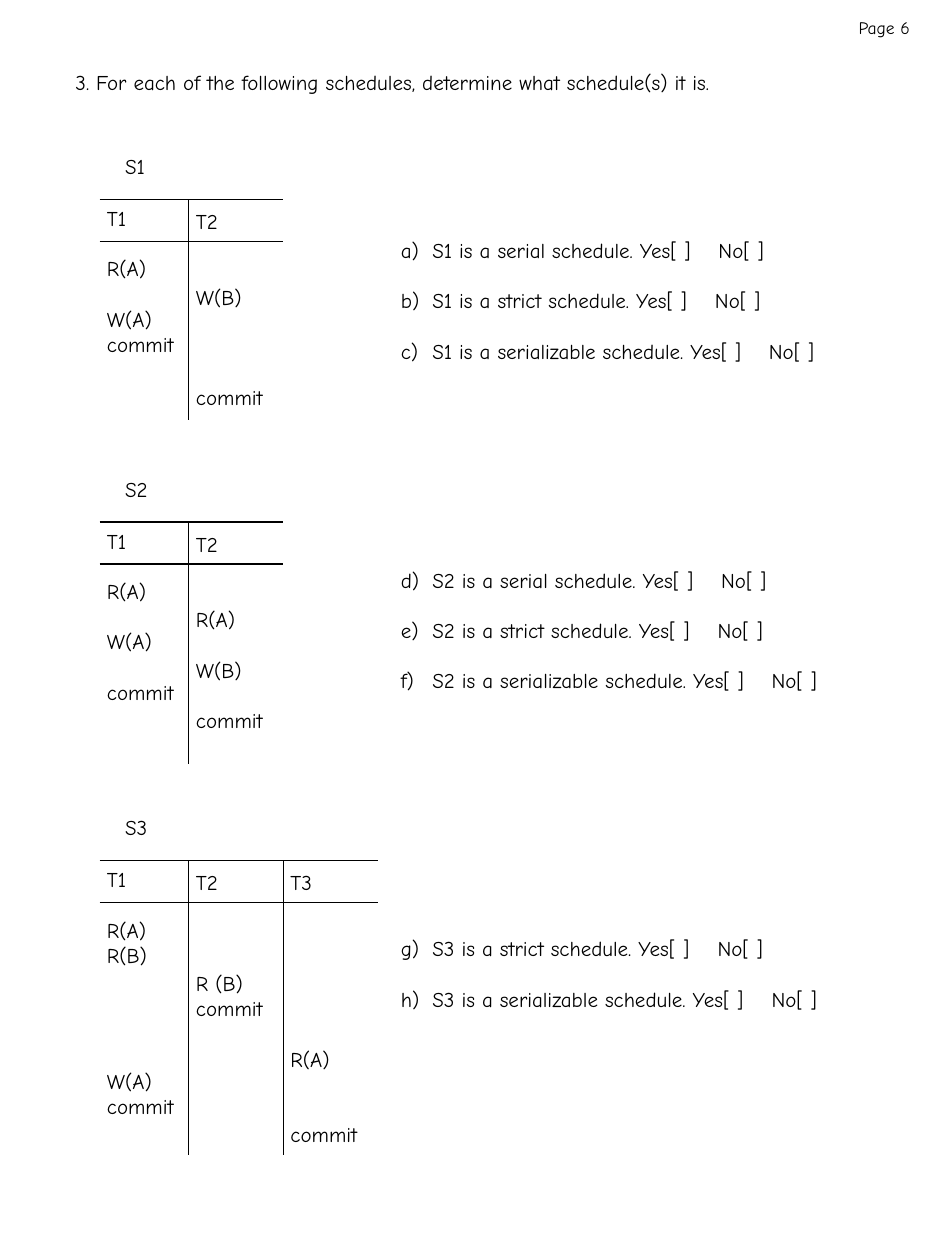
from lxml import etree
from pptx import Presentation
from pptx import util as u
from pptx.dml.color import RGBColor
from pptx.enum import shapes, text
from pptx.oxml import ns

Pt = u.Pt
FONT = "Comic Neue"
BLACK = "000000"
LINE_HEIGHT = 14.4


def hex_color(value):
    return RGBColor.from_string(value)


def add_text(left, top, width, lines, size=12, wrap=True, number_from=None, stops=()):
    """Place lines of text; an empty string widens the gap before the next line."""
    height = len(lines) * size * 1.2 + 7.2
    box = slide.shapes.add_textbox(Pt(left), Pt(top), Pt(width), Pt(height))
    frame = box.text_frame
    frame.word_wrap = wrap
    frame.auto_size = text.MSO_AUTO_SIZE.SHAPE_TO_FIT_TEXT
    gap = 0
    written = 0
    for line in lines:
        if not line:
            gap += LINE_HEIGHT
            continue
        paragraph = frame.add_paragraph() if written else frame.paragraphs[0]
        paragraph.text = line
        if number_from:
            props = paragraph._p.get_or_add_pPr()
            props.set("marL", str(Pt(18)))
            props.set("indent", str(-Pt(18)))
            color = etree.SubElement(props, ns.qn("a:buClr"))
            etree.SubElement(color, ns.qn("a:srgbClr"), val=BLACK)
            etree.SubElement(props, ns.qn("a:buFont"), typeface=FONT)
            etree.SubElement(props, ns.qn("a:buAutoNum"), type="alphaLcParenR",
                             startAt=str(number_from))
            tabs = etree.SubElement(props, ns.qn("a:tabLst"))
            etree.SubElement(tabs, ns.qn("a:tab"), pos=str(Pt(stops[written])), algn="l")
        if gap:
            paragraph.space_before = Pt(gap)
        for run in paragraph.runs:
            run.font.name = FONT
            run.font.size = Pt(size)
            run.font.color.rgb = hex_color(BLACK)
        gap = 0
        written += 1


def add_rule(x1, y1, x2, y2):
    rule = slide.shapes.add_connector(shapes.MSO_CONNECTOR.STRAIGHT,
                                      Pt(x1), Pt(y1), Pt(x2), Pt(y2))
    rule.line.color.rgb = hex_color(BLACK)
    rule.line.width = Pt(0.75)
    etree.SubElement(rule._element.spPr, ns.qn("a:effectLst"))


prs = Presentation()
prs.slide_width, prs.slide_height = Pt(540), Pt(720)
slide = prs.slides.add_slide(prs.slide_layouts[6])

# Page number and task
add_text(483.6, 6, 44, ["Page 6"], size=10, wrap=False)
add_text(36, 36, 480,
         ["3. For each of the following schedules, determine what schedule(s) it is."])

# Schedule: name, top, bottom, transactions, question top, first letter, properties asked
schedules = [
    ("S1", 113.9, 240,
     [["T1", "", "R(A)", "", "W(A)", "commit"],
      ["T2", "", "", "W(B)", "", "", "", "commit"]],
     132.1, 1, ["serial", "strict", "serializable"]),
    ("S2", 298.3, 436.4,
     [["T1", "", "R(A)", "", "W(A)", "", "commit"],
      ["T2", "", "", "R(A)", "", "W(B)", "", "commit"]],
     320.5, 4, ["serial", "strict", "serializable"]),
    ("S3", 491.9, 660,
     [["T1", "", "R(A)", "R(B)", "", "", "", "", "W(A)", "commit"],
      ["T2", "", "", "", "R (B)", "commit"],
      ["T3", "", "", "", "", "", "", "R(A)", "", "", "commit"]],
     531.3, 7, ["strict", "serializable"]),
]
table_left, first_divider, column_width, header_height = 57, 107.9, 54, 24
no_stops = {"serial": 181.5, "strict": 179.5, "serializable": 210.3}

for name, top, bottom, transactions, question_top, first_letter, properties in schedules:
    # Schedule name, in a box with room to spare on its right
    add_text(64.5, top - 29.7, 36, [name])

    # Header rules and column dividers
    table_right = first_divider + (len(transactions) - 1) * column_width
    for y in (top, top + header_height):
        add_rule(table_left, y, table_right, y)
    for column, steps in enumerate(transactions):
        divider = first_divider + (column - 1) * column_width
        if column == 0:
            add_text(table_left - 3, top, 60, steps)
        else:
            add_rule(divider, top, divider, bottom)
            add_text(divider - 3, top + 1.7, 57, steps)

    # Questions, one blank line apart
    questions, stops = [], []
    for kind in properties:
        questions += [f"{name} is a {kind} schedule. Yes[ ]\tNo[ ]", ""]
        stops.append(no_stops[kind] + (0 if name == "S1" else 1.5))
    add_text(222, question_top, 288, questions[:-1], number_from=first_letter, stops=stops)

prs.save("out.pptx")
